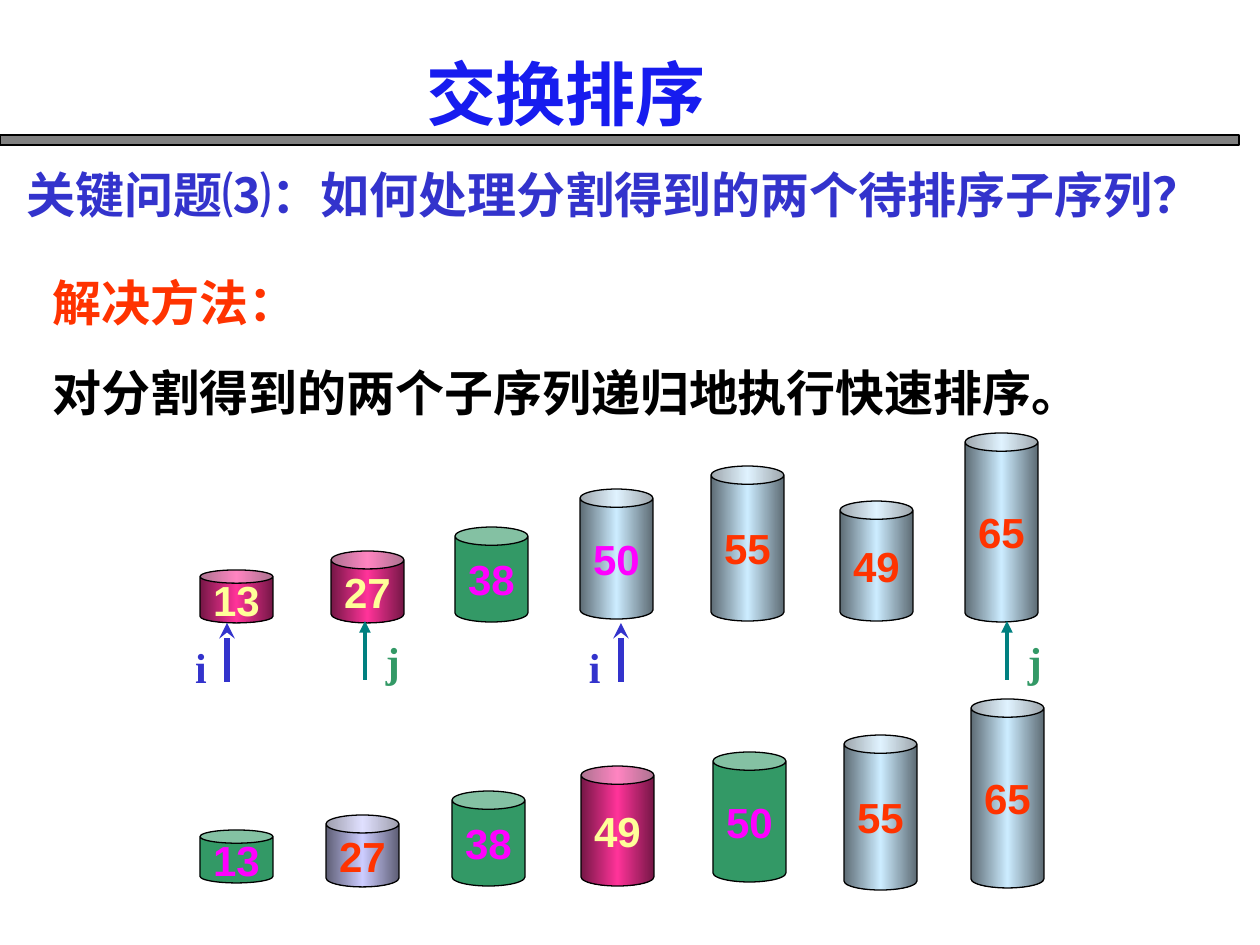
from copy import deepcopy

from lxml.etree import SubElement
from pptx import Presentation
from pptx.dml.color import RGBColor
from pptx.enum.shapes import MSO_CONNECTOR as Connector, MSO_SHAPE as Shape
from pptx.enum.text import MSO_ANCHOR as Anchor, MSO_AUTO_SIZE as AutoSize, PP_ALIGN as Align
from pptx.oxml import parse_xml
from pptx.oxml.ns import nsdecls, qn
from pptx.util import Pt

SCALE = 914400 / 126

CJK, SANS, SERIF = "Noto Sans CJK SC", "Arial", "Times New Roman"

BLACK = RGBColor(0x00, 0x00, 0x00)
GREY = RGBColor(0x80, 0x80, 0x80)
BLUE = RGBColor(0x17, 0x1C, 0xEF)
INDIGO = RGBColor(0x33, 0x33, 0xCC)
TEAL = RGBColor(0x00, 0x80, 0x80)
RED = RGBColor(0xFF, 0x33, 0x00)
MAGENTA = RGBColor(0xFF, 0x00, 0xFF)
YELLOW = RGBColor(0xFF, 0xFF, 0x99)
GREEN = RGBColor(0x33, 0x99, 0x66)
PINK = RGBColor(0xFF, 0x33, 0x99)
DARK_PINK = RGBColor(0x75, 0x17, 0x46)
STEEL = RGBColor(0xCC, 0xEC, 0xFF)
DARK_STEEL = RGBColor(0x5E, 0x6C, 0x75)
LAVENDER = RGBColor(0xCC, 0xCC, 0xFF)
DARK_LAVENDER = RGBColor(0x5E, 0x5E, 0x75)

EDGES = {PINK: DARK_PINK, STEEL: DARK_STEEL, LAVENDER: DARK_LAVENDER}
CAN_WIDTH = 73
CAN_HEIGHTS = {13: 53, 27: 72, 38: 95, 49: 120, 50: 130, 55: 155, 65: 189}

PARTITIONED = [
    (13, 200, 570, PINK, YELLOW),
    (27, 331, 551, PINK, YELLOW),
    (38, 455, 527, GREEN, MAGENTA),
    (50, 580, 489, STEEL, MAGENTA),
    (55, 711, 466, STEEL, RED),
    (49, 840, 501, STEEL, RED),
    (65, 965, 433, STEEL, RED),
]
SORTED = [
    (13, 200, 830, GREEN, MAGENTA),
    (27, 326, 815, LAVENDER, RED),
    (38, 452, 791, GREEN, MAGENTA),
    (49, 581, 766, PINK, YELLOW),
    (50, 713, 752, GREEN, MAGENTA),
    (55, 844, 735, STEEL, RED),
    (65, 971, 699, STEEL, RED),
]


def px(value):
    return round(value * SCALE)


def write(para, text, *, size, color, font=CJK, align=Align.LEFT,
          before=0, leading=None, shadow=False):
    para.alignment = align
    para.space_before = Pt(before)
    if leading:
        para.line_spacing = Pt(leading)
    span = para.add_run()
    span.text = text
    span.font.size = Pt(size)
    span.font.bold = True
    span.font.color.rgb = color
    span.font.name = font
    props = span.font._element
    props.find(qn("a:latin")).addnext(
        parse_xml(f'<a:ea {nsdecls("a")} typeface="{font}"/>'))
    if shadow:
        props.find(qn("a:solidFill")).addnext(parse_xml(
            f'<a:effectLst {nsdecls("a")}>'
            '<a:outerShdw dist="35921" dir="2700000">'
            f'<a:srgbClr val="{GREY}"/></a:outerShdw></a:effectLst>'))


def place(box, left, top, width, height, inset_top=6):
    box.left, box.top, box.width, box.height = map(px, (left, top, width, height))
    frame = box.text_frame
    frame.word_wrap = True
    frame.auto_size = AutoSize.NONE
    frame.vertical_anchor = Anchor.TOP
    frame.margin_left = frame.margin_right = px(13)
    frame.margin_top, frame.margin_bottom = px(inset_top), px(6)
    return frame


def add_text_box(page, *bounds, **options):
    return place(page.shapes.add_textbox(0, 0, 0, 0), *bounds, **options)


def add_solution(box):
    frame = place(box, 40, 262, 1172, 161, inset_top=10)
    lines = [("解决方法：", RED, 0), ("对分割得到的两个子序列递归地执行快速排序。", BLACK, 17.5)]
    for index, (text, color, before) in enumerate(lines):
        para = frame.add_paragraph() if index else frame.paragraphs[0]
        props = para._p.get_or_add_pPr()
        props.set("marL", "0")
        props.set("indent", "0")
        SubElement(props, qn("a:buNone"))
        write(para, text, size=28, color=color, before=before, leading=34)


def add_preset(page, kind, left, top, width, height):
    shape = page.shapes.add_shape(kind, *map(px, (left, top, width, height)))
    shape.shadow.inherit = False
    shape.line.color.rgb = BLACK
    shape.line.width = Pt(0.75)
    return shape


def paint(shape, color):
    if color not in EDGES:
        shape.fill.solid()
        shape.fill.fore_color.rgb = color
        return
    shape.fill.gradient()
    shape.fill.gradient_angle = 0
    stop_list = shape._element.spPr.find(".//" + qn("a:gsLst"))
    stop_list.append(deepcopy(stop_list[-1]))
    edge = EDGES[color]
    for stop, position, shade in zip(shape.fill.gradient_stops, (0, 0.5, 1), (edge, color, edge)):
        stop.position = position
        stop.color.rgb = shade


def add_can(page, value, left, top, color, text_color):
    can = add_preset(page, Shape.CAN, left, top, CAN_WIDTH, CAN_HEIGHTS[value])
    can.adjustments[0] = 0.25
    paint(can, color)
    frame = can.text_frame
    frame.word_wrap = False
    frame.vertical_anchor = Anchor.MIDDLE
    write(frame.paragraphs[0], str(value), size=24, color=text_color,
          font=SANS, align=Align.CENTER)


def add_pointer(page, name, x, *, bottom, label_left, label_top,
                line_color, text_color, width, head):
    arrow = page.shapes.add_connector(
        Connector.STRAIGHT, px(x), px(bottom), px(x), px(bottom - 59))
    arrow.line.color.rgb = line_color
    arrow.line.width = Pt(width)
    SubElement(arrow.line._get_or_add_ln(), qn("a:tailEnd"), type=head)
    SubElement(arrow._element.spPr, qn("a:effectLst"))
    frame = add_text_box(page, label_left, label_top, 32, 63)
    write(frame.paragraphs[0], name, size=24, color=text_color, font=SERIF)


def main():
    deck = Presentation()
    deck.slide_width, deck.slide_height = px(1260), px(945)
    page = deck.slides.add_slide(deck.slide_layouts[1])

    paint(add_preset(page, Shape.RECTANGLE, 0, 135, 1239, 10), GREY)
    add_solution(page.placeholders[1])
    title = place(page.shapes.title, 413, 39, 399, 97, inset_top=12)
    write(title.paragraphs[0], "交换排序", size=40, color=BLUE, leading=48, shadow=True)
    question = add_text_box(page, 14, 154, 1211, 72, inset_top=10)
    write(question.paragraphs[0], "关键问题⑶：如何处理分割得到的两个待排序子序列？",
          size=28, color=INDIGO, leading=34)

    for can in SORTED + PARTITIONED:
        add_can(page, *can)
    for i_x, j_x in ((227, 365), (621, 1007)):
        add_pointer(page, "i", i_x, bottom=682, label_left=i_x - 45, label_top=636,
                    line_color=INDIGO, text_color=INDIGO, width=3, head="stealth")
        add_pointer(page, "j", j_x, bottom=680, label_left=j_x + 8, label_top=630,
                    line_color=TEAL, text_color=GREEN, width=2.25, head="triangle")
    deck.save("out.pptx")


if __name__ == "__main__":
    main()
